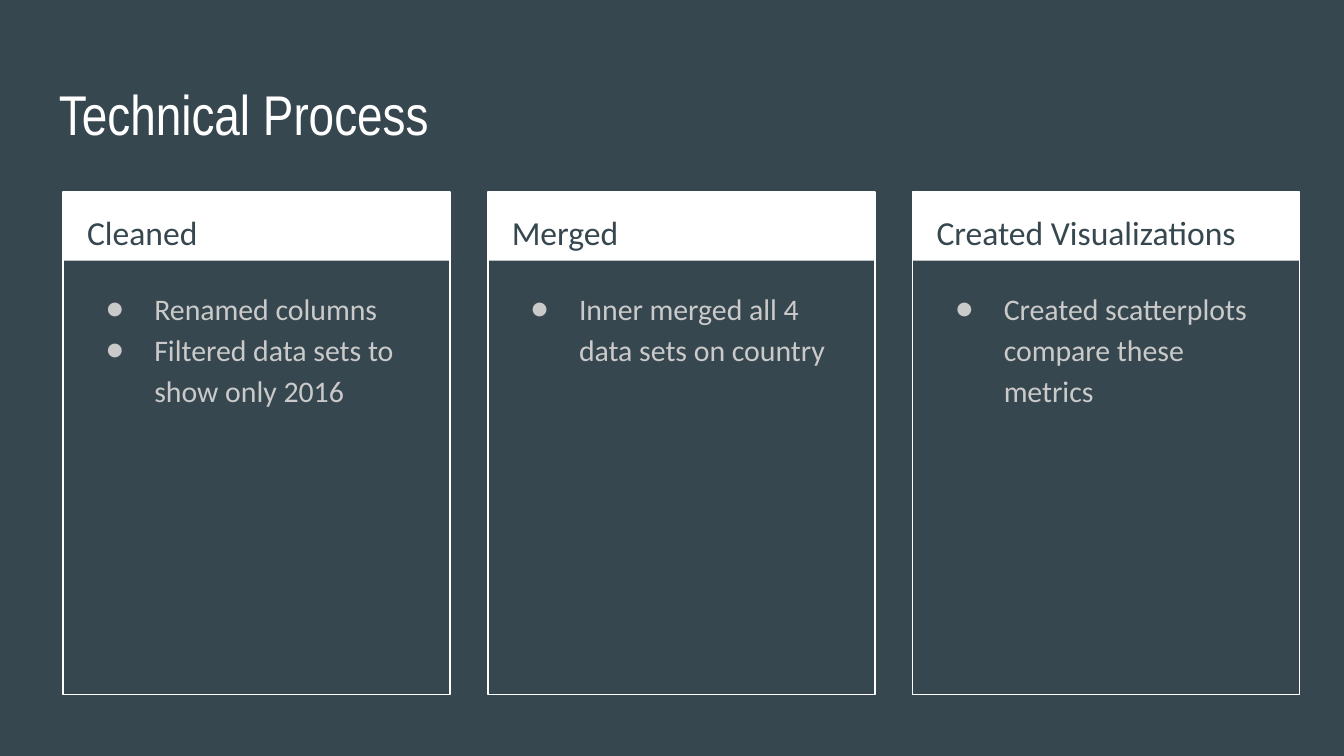
from lxml import etree
from pptx import Presentation
from pptx import util as u
from pptx.dml.color import RGBColor
from pptx.enum import shapes, text
from pptx.oxml import ns

SLATE = RGBColor(0x37, 0x47, 0x4F)
WHITE = RGBColor(0xFF, 0xFF, 0xFF)
GREY = RGBColor(0xCA, 0xCA, 0xCA)

COLUMNS = [
    ("Cleaned", ["Renamed columns", "Filtered data sets to show only 2016"]),
    ("Merged", ["Inner merged all 4 data sets on country"]),
    ("Created Visualizations", ["Created scatterplots compare these metrics"]),
]
FIRST_LEFT, PITCH = 0.47, 3.16
CARD_TOP, CARD_WIDTH, CARD_HEIGHT, HEADER_HEIGHT = 1.43, 2.88, 3.74, 0.51


def add_text(left, top, width, height, lines, size, font, color, spacing=1.0):
    """Add a text box with one paragraph per line and return its paragraphs."""
    box = page.shapes.add_textbox(
        u.Inches(left), u.Inches(top), u.Inches(width), u.Inches(height))
    frame = box.text_frame
    frame.word_wrap = True
    frame.vertical_anchor = text.MSO_ANCHOR.TOP
    frame.margin_left = frame.margin_right = u.Inches(0.1)
    frame.margin_top = frame.margin_bottom = u.Inches(0.1)
    for index, line in enumerate(lines):
        para = frame.add_paragraph() if index else frame.paragraphs[0]
        para.line_spacing = spacing
        span = para.add_run()
        span.text = line
        span.font.size = u.Pt(size)
        span.font.name = font
        span.font.color.rgb = color
    return frame.paragraphs


def add_bullet(para, color):
    properties = para._p.get_or_add_pPr()
    properties.set("marL", str(u.Inches(0.5)))
    properties.set("indent", str(u.Inches(-0.36)))
    bullet_color = etree.SubElement(properties, ns.qn("a:buClr"))
    etree.SubElement(bullet_color, ns.qn("a:srgbClr"), val=str(color))
    etree.SubElement(properties, ns.qn("a:buFont"), typeface="Calibri")
    etree.SubElement(properties, ns.qn("a:buChar"), char="●")


deck = Presentation()
deck.slide_width = u.Inches(10)
deck.slide_height = deck.slide_width * 9 // 16
page = deck.slides.add_slide(deck.slide_layouts[6])
page.background.fill.solid()
page.background.fill.fore_color.rgb = SLATE

add_text(0.34, 0.49, 9.32, 0.63, ["Technical Process"], 30, "Arial Narrow", WHITE)

for number, (heading, points) in enumerate(COLUMNS):
    left = FIRST_LEFT + number * PITCH

    header = page.shapes.add_shape(
        shapes.MSO_SHAPE.RECTANGLE, u.Inches(left), u.Inches(CARD_TOP),
        u.Inches(CARD_WIDTH), u.Inches(HEADER_HEIGHT))
    header.shadow.inherit = False
    header.fill.solid()
    header.fill.fore_color.rgb = WHITE
    header.line.fill.background()

    outline = page.shapes.add_shape(
        shapes.MSO_SHAPE.RECTANGLE, u.Inches(left), u.Inches(CARD_TOP),
        u.Inches(CARD_WIDTH), u.Inches(CARD_HEIGHT))
    outline.shadow.inherit = False
    outline.fill.background()
    outline.line.color.rgb = WHITE
    outline.line.width = u.Pt(0.75)

    add_text(left + 0.08, CARD_TOP, 2.73, 0.5, [heading], 18, "Calibri", SLATE, 1.15)
    for para in add_text(left + 0.08, 2.02, 2.71, 3.06, points, 16, "Calibri", GREY, 1.15):
        add_bullet(para, GREY)

deck.save("out.pptx")
